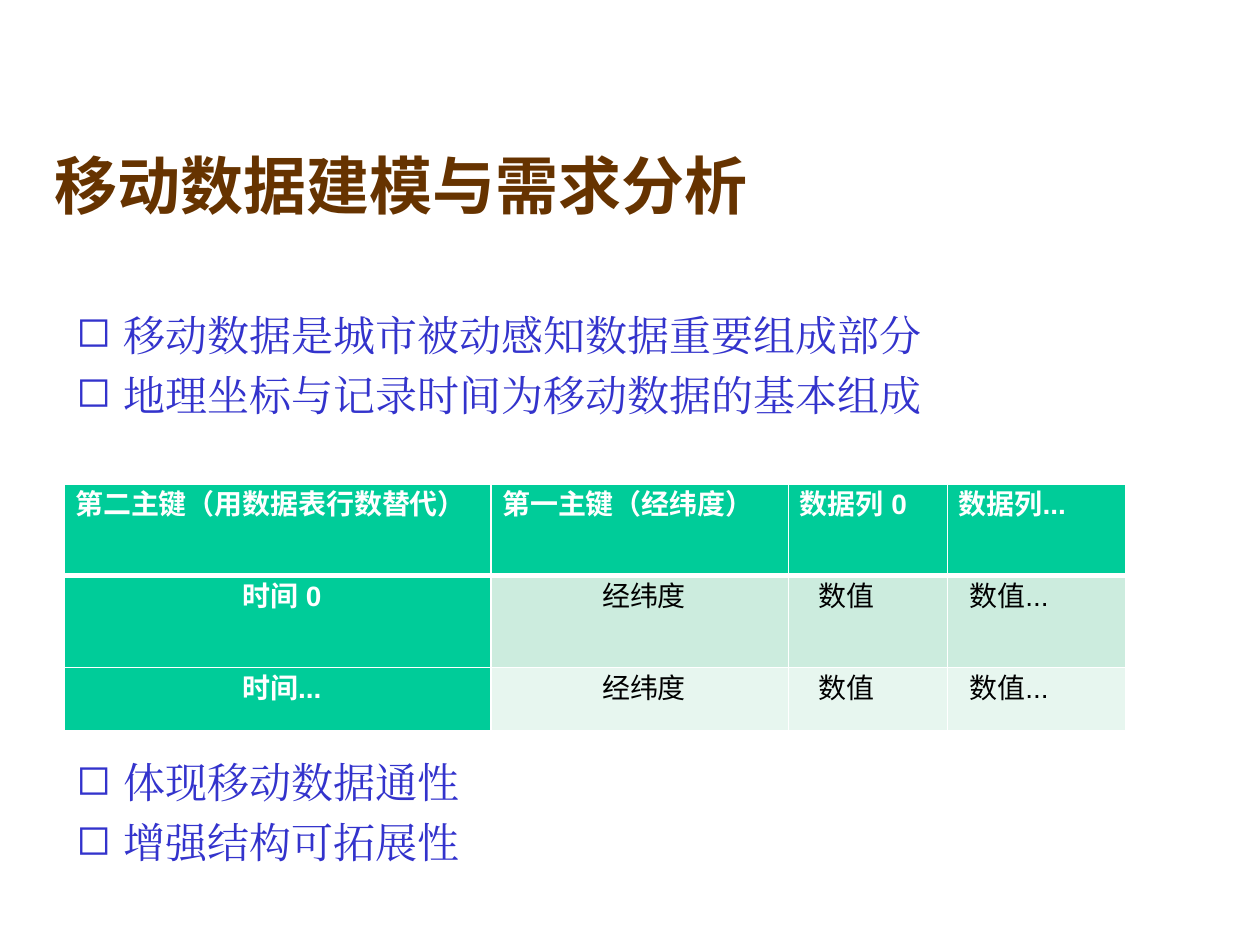
from dataclasses import dataclass
from typing import Optional

from lxml import etree
from pptx import Presentation
from pptx.dml import color
from pptx.enum import text
from pptx.oxml import ns
from pptx.util import Pt

WHITE, BLACK, GREEN = "FFFFFF", "000000", "00CC99"
BROWN, BLUE = "663300", "3333CC"
BODY_FILLS = ["CCECDE", "E7F6EF"]
COLUMN_WIDTHS = [244, 170, 91, 102]
ROW_HEIGHTS = [52.5, 52.5, 36]
ROWS = [
    ["第二主键（用数据表行数替代）", "第一主键（经纬度）", "数据列 0", "数据列..."],
    ["时间 0", "经纬度", "数值", "数值..."],
    ["时间...", "经纬度", "数值", "数值..."],
]
BODY_INDENTS = [0, 0, 11, 6]


@dataclass
class Style:
    font: str
    size: float
    color: str
    bold: bool = False


@dataclass
class TextBlock:
    left: float
    top: float
    width: float
    height: float
    lines: list[str]
    style: Style
    bulleted: bool = False
    anchor: text.MSO_ANCHOR = text.MSO_ANCHOR.TOP


BULLET_STYLE = Style("Times New Roman", 24, BLUE)
BLOCKS = [
    TextBlock(36.5, 173.5, 508, 102,
              ["移动数据是城市被动感知数据重要组成部分", "地理坐标与记录时间为移动数据的基本组成"],
              BULLET_STYLE, bulleted=True),
    TextBlock(24, 77, 672, 57, ["移动数据建模与需求分析"],
              Style("Noto Sans CJK SC", 36, BROWN, True),
              anchor=text.MSO_ANCHOR.MIDDLE),
    TextBlock(36.5, 429, 508, 102, ["体现移动数据通性", "增强结构可拓展性"],
              BULLET_STYLE, bulleted=True),
]


def rgb(value: str) -> color.RGBColor:
    return color.RGBColor.from_string(value)


def format_runs(p, style: Style) -> None:
    for r in p.runs:
        r.font.size = Pt(style.size)
        r.font.bold = style.bold
        r.font.color.rgb = rgb(style.color)
        r.font.name = style.font
        etree.SubElement(r._r.get_or_add_rPr(), ns.qn("a:ea"), typeface=style.font)


def set_indent(p, left: float, first: float = 0, bullet: Optional[str] = None) -> None:
    pPr = p._p.get_or_add_pPr()
    pPr.set("marL", str(Pt(left)))
    pPr.set("indent", str(Pt(first)))
    if bullet:
        etree.SubElement(pPr, ns.qn("a:buChar"), char=bullet)


def add_text_block(s, block: TextBlock) -> None:
    sp = s.shapes.add_textbox(Pt(block.left), Pt(block.top), Pt(block.width), Pt(block.height))
    tf = sp.text_frame
    tf.word_wrap = True
    tf.vertical_anchor = block.anchor
    tf.text = "\n".join(block.lines)
    for i, p in enumerate(tf.paragraphs):
        if block.bulleted:
            set_indent(p, 27, -27, "◻")
        if i:
            p.space_before = Pt(5.5)
        format_runs(p, block.style)


def set_borders(cell, top: float, bottom: float) -> None:
    tcPr = cell._tc.get_or_add_tcPr()
    widths = {"a:lnL": 1, "a:lnR": 1, "a:lnT": top, "a:lnB": bottom}
    for i, (tag, width) in enumerate(widths.items()):
        ln = etree.Element(ns.qn(tag), w=str(Pt(width)))
        fill = etree.SubElement(ln, ns.qn("a:solidFill"))
        etree.SubElement(fill, ns.qn("a:srgbClr"), val=WHITE)
        tcPr.insert(i, ln)


def fill_cell(cell, row: int, col: int) -> None:
    key = row == 0 or col == 0
    cell.margin_left, cell.margin_right = Pt(6.5), Pt(1.5)
    cell.margin_top, cell.margin_bottom = Pt(2), Pt(0)
    cell.fill.solid()
    cell.fill.fore_color.rgb = rgb(GREEN if key else BODY_FILLS[row - 1])
    set_borders(cell, top=3 if row == 1 else 1, bottom=3 if row == 0 else 1)
    cell.text_frame.text = ROWS[row][col]
    p = cell.text_frame.paragraphs[0]
    p.line_spacing = 1.07
    if row == 0:
        p.alignment = text.PP_ALIGN.JUSTIFY
    elif BODY_INDENTS[col]:
        set_indent(p, BODY_INDENTS[col])
    else:
        p.alignment = text.PP_ALIGN.CENTER
    format_runs(p, Style("Arial", 16, WHITE if key else BLACK, key))


def add_key_table(s, left: float, top: float) -> None:
    table = s.shapes.add_table(
        len(ROWS), len(COLUMN_WIDTHS), Pt(left), Pt(top),
        Pt(sum(COLUMN_WIDTHS)), Pt(sum(ROW_HEIGHTS))).table
    for column, width in zip(table.columns, COLUMN_WIDTHS):
        column.width = Pt(width)
    for row, height in enumerate(ROW_HEIGHTS):
        table.rows[row].height = Pt(height)
        for col in range(len(COLUMN_WIDTHS)):
            fill_cell(table.cell(row, col), row, col)


def main() -> None:
    prs = Presentation()
    prs.slide_width, prs.slide_height = Pt(720), Pt(540)
    s = prs.slides.add_slide(prs.slide_layouts[6])
    bullets, title, benefits = BLOCKS
    add_text_block(s, bullets)
    add_text_block(s, title)
    add_key_table(s, 36.5, 276.5)
    add_text_block(s, benefits)
    prs.save("out.pptx")


if __name__ == "__main__":
    main()
